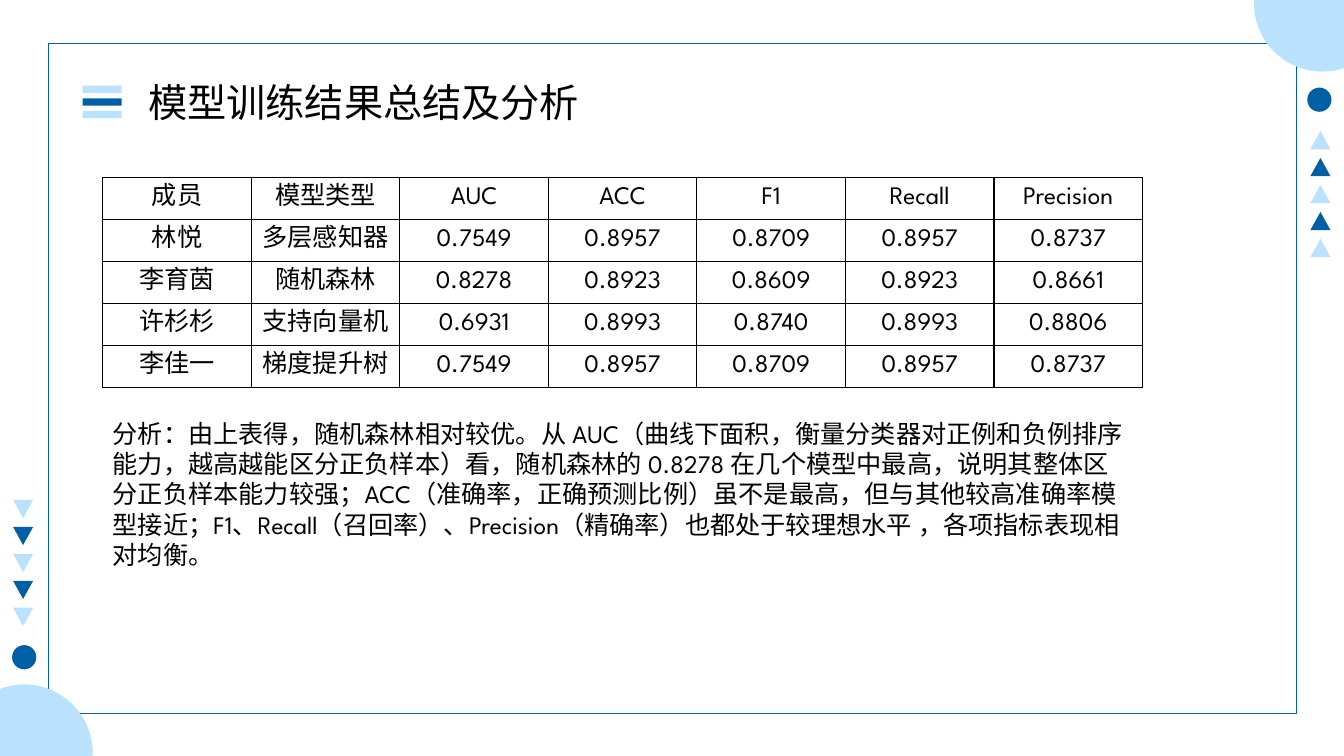
from math import cos, radians, sin

from lxml import etree
from pptx import Presentation
from pptx.dml.color import RGBColor
from pptx.enum.shapes import MSO_SHAPE
from pptx.enum.text import MSO_ANCHOR, MSO_AUTO_SIZE, PP_ALIGN
from pptx.oxml.ns import qn
from pptx.util import Pt

RECT, OVAL, TRI = MSO_SHAPE.RECTANGLE, MSO_SHAPE.OVAL, MSO_SHAPE.ISOSCELES_TRIANGLE
TOP, MIDDLE = MSO_ANCHOR.TOP, MSO_ANCHOR.MIDDLE
LEFT, CENTER = PP_ALIGN.LEFT, PP_ALIGN.CENTER
FIXED = MSO_AUTO_SIZE.NONE

FONT = "League Spartan"
COLORS = {"light": "BAE2FF", "dark": "005FA5", "ink": "000000"}

TITLE = "模型训练结果总结及分析"
SCORES = [
    ["成员", "模型类型", "AUC", "ACC", "F1", "Recall", "Precision"],
    ["林悦", "多层感知器", "0.7549", "0.8957", "0.8709", "0.8957", "0.8737"],
    ["李育茵", "随机森林", "0.8278", "0.8923", "0.8609", "0.8923", "0.8661"],
    ["许杉杉", "支持向量机", "0.6931", "0.8993", "0.8740", "0.8993", "0.8806"],
    ["李佳一", "梯度提升树", "0.7549", "0.8957", "0.8709", "0.8957", "0.8737"],
]
REVIEW = (
    "分析：由上表得，随机森林相对较优。从 AUC（曲线下面积，衡量分类器对正例和负例排序能力，"
    "越高越能区分正负样本）看，随机森林的 0.8278 在几个模型中最高，说明其整体区分正负样本能力较强；"
    "ACC（准确率，正确预测比例）虽不是最高，但与其他较高准确率模型接近；"
    "F1、Recall（召回率）、Precision（精确率）也都处于较理想水平 ，各项指标表现相对均衡。"
)


def rgb(name):
    return RGBColor.from_string(COLORS[name])


def paint(shape, color):
    shape.shadow.inherit = False
    shape.fill.solid()
    shape.fill.fore_color.rgb = rgb(color)
    shape.line.fill.background()


def add_solid(slide, kind, box, color):
    shape = slide.shapes.add_shape(kind, *map(Pt, box))
    paint(shape, color)
    return shape


def write(frame, text, size, align):
    """Set one paragraph in the slide font, for Latin and Chinese alike."""
    frame.text = text
    para = frame.paragraphs[0]
    para.alignment = align
    for run in para.runs:
        run.font.size = Pt(size)
        run.font.name = FONT
        run.font.color.rgb = rgb("ink")
        east = etree.SubElement(run.font._element, qn("a:ea"))
        east.set("typeface", FONT)


def add_frame(slide, box):
    frame = slide.shapes.add_shape(RECT, *map(Pt, box))
    frame.shadow.inherit = False
    frame.fill.background()
    frame.line.color.rgb = rgb("dark")
    frame.line.width = Pt(1)


def add_corner(slide, box, flip):
    """Draw a disc cut by the slide's corner; flip turns it half round."""
    left, top, width, height = box
    radius = 48.9
    mid_x, mid_y = radius, height - radius
    arc = [(mid_x + radius * cos(radians(a)), mid_y + radius * sin(radians(a)))
           for a in range(70, 181, 2)]
    points = [(0, 0), (width, 0), (width, 47.5)] + arc
    if flip:
        points = [(width - x, height - y) for x, y in points]
    points = [(Pt(left + x), Pt(top + y)) for x, y in points]
    pen = slide.shapes.build_freeform(*points[0])
    pen.add_line_segments(points[1:], close=True)
    paint(pen.convert_to_shape(), "light")


def add_strip(slide, box, flip):
    """Draw a dot and five triangles; flip turns the strip half round."""
    left, top, width, height = box
    parts = [(OVAL, 0, 0, width, width, "dark")]
    for i in range(5):
        color = "dark" if i % 2 else "light"
        parts.append((TRI, 2.2, 31 + 19.26 * i, 14.4, 13, color))
    for kind, x, y, wide, high, color in parts:
        if flip:
            x, y = width - x - wide, height - y - high
        shape = add_solid(slide, kind, (left + x, top + y, wide, high), color)
        shape.rotation = 180 if flip else 0


def add_title(slide, box):
    left, top, width, height = box
    for i, color in enumerate(("light", "dark", "light")):
        add_solid(slide, RECT, (left, top + 5 + 9 * i, 28, 5.2), color)
    title = slide.shapes.title
    title.left, title.top = Pt(left + 47), Pt(top)
    title.width, title.height = Pt(width - 47), Pt(height)
    frame = title.text_frame
    frame.margin_left = frame.margin_right = 0
    frame.margin_top = frame.margin_bottom = 0
    frame.auto_size = FIXED
    frame.vertical_anchor = TOP
    write(frame, TITLE, 28, LEFT)


def add_edges(cell):
    props = cell._tc.get_or_add_tcPr()
    for side in ("lnL", "lnR", "lnT", "lnB"):
        line = etree.SubElement(props, qn("a:" + side), w=str(Pt(1)))
        fill = etree.SubElement(line, qn("a:solidFill"))
        etree.SubElement(fill, qn("a:srgbClr"), val=COLORS["ink"])


def add_scores(slide, box):
    rows, cols = len(SCORES), len(SCORES[0])
    table = slide.shapes.add_table(rows, cols, *map(Pt, box)).table
    table.first_row = table.horz_banding = False
    for r, row in enumerate(SCORES):
        for c, text in enumerate(row):
            cell = table.cell(r, c)
            write(cell.text_frame, text, 18, CENTER)
            cell.vertical_anchor = MIDDLE
            add_edges(cell)
            cell.fill.background()


def add_review(slide, box):
    frame = slide.shapes.add_textbox(*map(Pt, box)).text_frame
    frame.word_wrap = True
    write(frame, REVIEW, 18, LEFT)


def main():
    deck = Presentation()
    deck.slide_width, deck.slide_height = Pt(960), Pt(540)
    slide = deck.slides.add_slide(deck.slide_layouts[5])
    add_frame(slide, (34.5, 31, 891.4, 478.6))
    add_corner(slide, (895.7, 0, 66.2, 51.1), False)
    add_strip(slide, (933.8, 62.6, 17.3, 121), False)
    add_corner(slide, (0, 488.9, 66.2, 51.1), True)
    add_strip(slide, (8.6, 357.1, 17.3, 121), True)
    add_title(slide, (59, 56.2, 454.4, 33.8))
    add_scores(slide, (73.4, 126.9, 742.8, 150))
    add_review(slide, (73.4, 295.2, 743, 155.5))
    deck.save("out.pptx")


if __name__ == "__main__":
    main()
